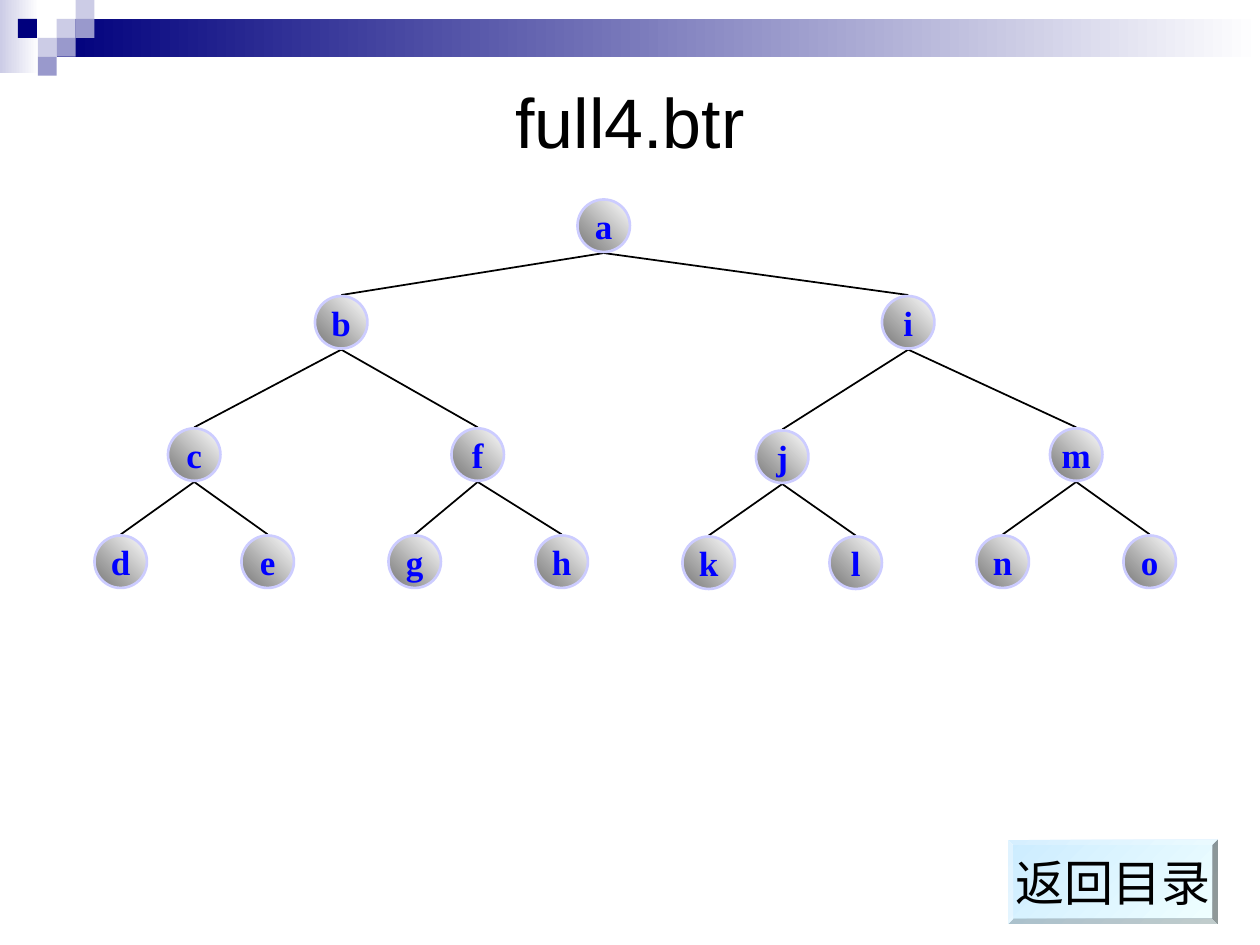
"""Draws a full binary tree of four levels with a return button."""
from dataclasses import dataclass

from lxml import etree
from pptx import Presentation
from pptx import util as u
from pptx.dml.color import RGBColor
from pptx.enum import shapes, text
from pptx.oxml.ns import qn

KIND = shapes.MSO_SHAPE
COLS, ROWS = 120, 90
NODE = 5
GAP = 0.1
TILE = 1.8


@dataclass(frozen=True)
class Theme:
    """Colours, fonts and type sizes."""
    ink: str = "000000"
    blue: str = "0000FF"
    navy: str = "00007D"
    mid: str = "9999CC"
    pale: str = "CCCCE6"
    rim: str = "CCCCFF"
    ball: tuple = ("767676", "FFFFFF")
    key: tuple = ("CCECFF", "F0FFFF")
    white: str = "FFFFFF"
    sans: str = "Arial"
    serif: str = "Times New Roman"
    head: int = 40
    label: int = 28
    letter: int = 20


class Board:
    """Holds the style and the slide, and adds elements by column and row."""

    def __init__(self, deck, theme):
        self.theme = theme
        self.wide, self.high = deck.slide_width, deck.slide_height
        self.slide = deck.slides.add_slide(deck.slide_layouts[5])

    def spot(self, col, row):
        """Turns a column and a row into slide lengths."""
        return round(self.wide * col / COLS), round(self.high * row / ROWS)

    def label(self, shape, words, size, font, color, bold=False):
        """Puts one centred line of text into a shape."""
        frame = shape.text_frame
        frame.text = words
        frame.word_wrap = False
        frame.auto_size = text.MSO_AUTO_SIZE.NONE
        frame.vertical_anchor = text.MSO_ANCHOR.MIDDLE
        para = frame.paragraphs[0]
        para.alignment = text.PP_ALIGN.CENTER
        para.font.size, para.font.name = u.Pt(size), font
        para.font.bold = bold
        para.font.color.rgb = RGBColor.from_string(color)

    def title(self, words, col, row, wide, high):
        """Moves and fills the title placeholder."""
        head = self.slide.shapes.title
        head.left, head.top = self.spot(col, row)
        head.width, head.height = self.spot(wide, high)
        self.label(head, words, self.theme.head, self.theme.sans, self.theme.ink)

    def shape(self, kind, col, row, wide, high, paint, angle=0):
        """Adds a shape with a plain colour or a pair of gradient colours."""
        item = self.slide.shapes.add_shape(
            kind, *self.spot(col, row), *self.spot(wide, high))
        item.shadow.inherit = False
        item.line.fill.background()
        if isinstance(paint, str):
            item.fill.solid()
            item.fill.fore_color.rgb = RGBColor.from_string(paint)
        else:
            item.fill.gradient()
            item.fill.gradient_angle = angle
            for stop, color in zip(item.fill.gradient_stops, paint):
                stop.color.rgb = RGBColor.from_string(color)
        return item

    def node(self, letter, col, row):
        """Adds a lettered ball."""
        look = self.theme
        ball = self.shape(KIND.OVAL, col, row, NODE, NODE, look.ball, 45)
        ball.line.color.rgb = RGBColor.from_string(look.rim)
        ball.line.width = u.Pt(1.5)
        self.label(ball, letter, look.letter, look.serif, look.blue, True)

    def edge(self, top, low):
        """Joins the foot of one node to the crown of another."""
        start = self.spot(top[0] + NODE / 2, top[1] + NODE + GAP)
        end = self.spot(low[0] + NODE / 2, low[1] - GAP)
        line = self.slide.shapes.add_connector(
            shapes.MSO_CONNECTOR.STRAIGHT, *start, *end)
        line.line.color.rgb = RGBColor.from_string(self.theme.ink)
        line.line.width = u.Pt(1)
        etree.SubElement(line._element.spPr, qn("a:effectLst"))

    def tree(self, nodes):
        """Draws a full binary tree given in preorder."""
        (letter, *place), rest = nodes[0], nodes[1:]
        half = len(rest) // 2
        for branch in filter(None, (rest[:half], rest[half:])):
            self.edge(place, branch[0][1:])
            self.tree(branch)
        self.node(letter, *place)

    def banner(self):
        """Draws the fading bar and the chequered corner."""
        look = self.theme
        self.shape(KIND.RECTANGLE, 0, 0, 3.7, 7, (look.pale, look.white))
        self.shape(KIND.RECTANGLE, 3 * TILE, TILE, COLS - 3 * TILE, 2 * TILE,
                   (look.navy, look.white))
        tiles = {look.pale: [(3, 1), (4, 0), (2, 2)],
                 look.mid: [(4, 1), (3, 2), (2, 3)],
                 look.navy: [(0.95, 1)]}
        for color, spots in tiles.items():
            for col, row in spots:
                self.shape(KIND.RECTANGLE, col * TILE, row * TILE, TILE, TILE, color)

    def button(self, words, col, row, wide, high):
        """Adds a bevelled button."""
        look = self.theme
        key = self.shape(KIND.BEVEL, col, row, wide, high, look.key, 315)
        key.adjustments[0] = 0.06
        self.label(key, words, look.label, look.sans, look.ink)


TREE = [
    ("a", 55, 19),
    ("b", 30, 28.2),
    ("c", 16, 40.8), ("d", 9, 51), ("e", 23, 51),
    ("f", 43, 40.8), ("g", 37, 51), ("h", 51, 51),
    ("i", 84, 28.2),
    ("j", 72, 41), ("k", 65, 51.1), ("l", 79, 51.1),
    ("m", 100, 40.8), ("n", 93, 51), ("o", 107, 51),
]


def main():
    """Builds and saves the slide."""
    deck = Presentation()
    deck.slide_width, deck.slide_height = u.Inches(10), u.Inches(7.5)
    board = Board(deck, Theme())
    board.banner()
    board.title("full4.btr", 6, 6, 108, 11)
    board.button("返回目录", 96, 80, 20, 8)
    board.tree(TREE)
    deck.save("out.pptx")


if __name__ == "__main__":
    main()
